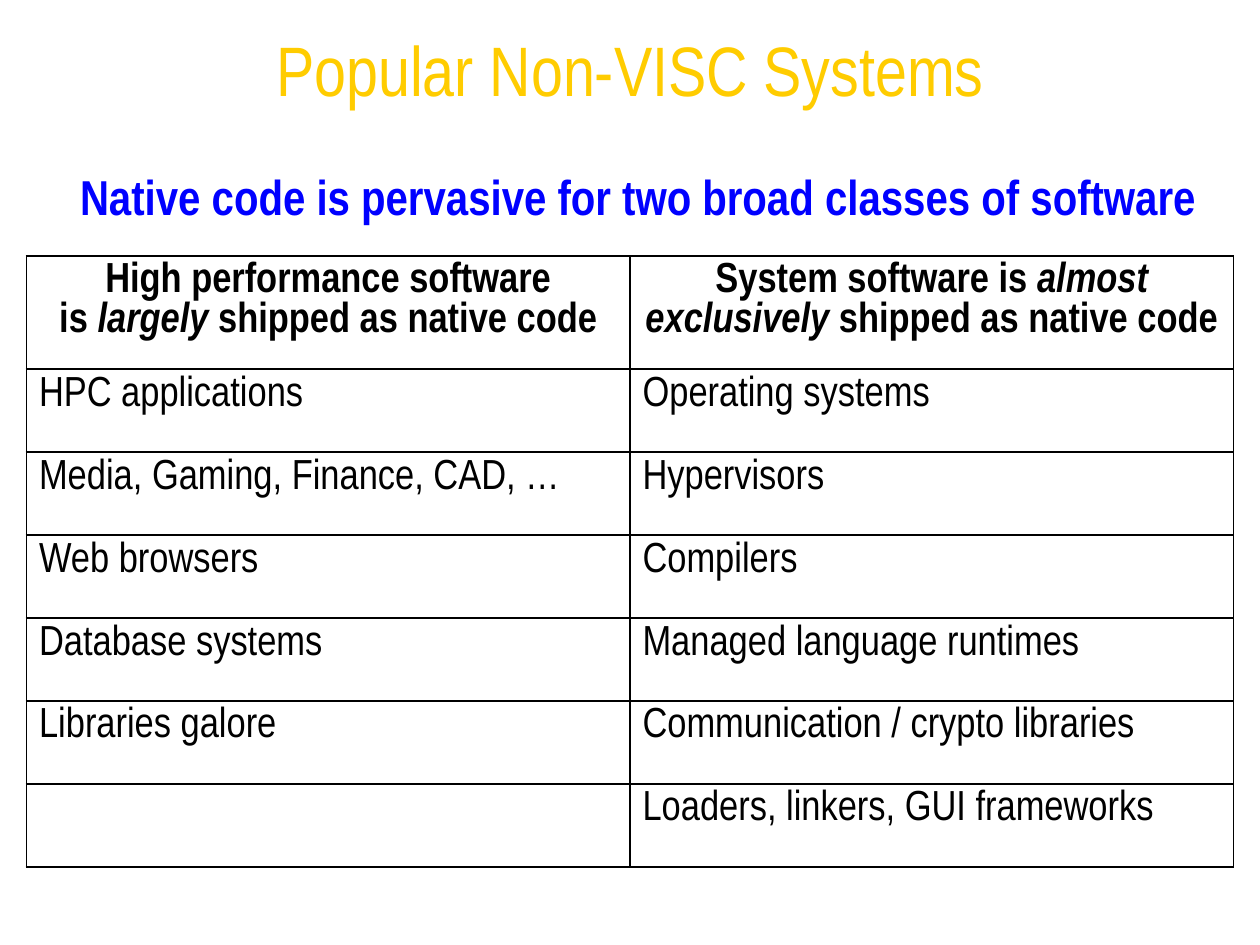
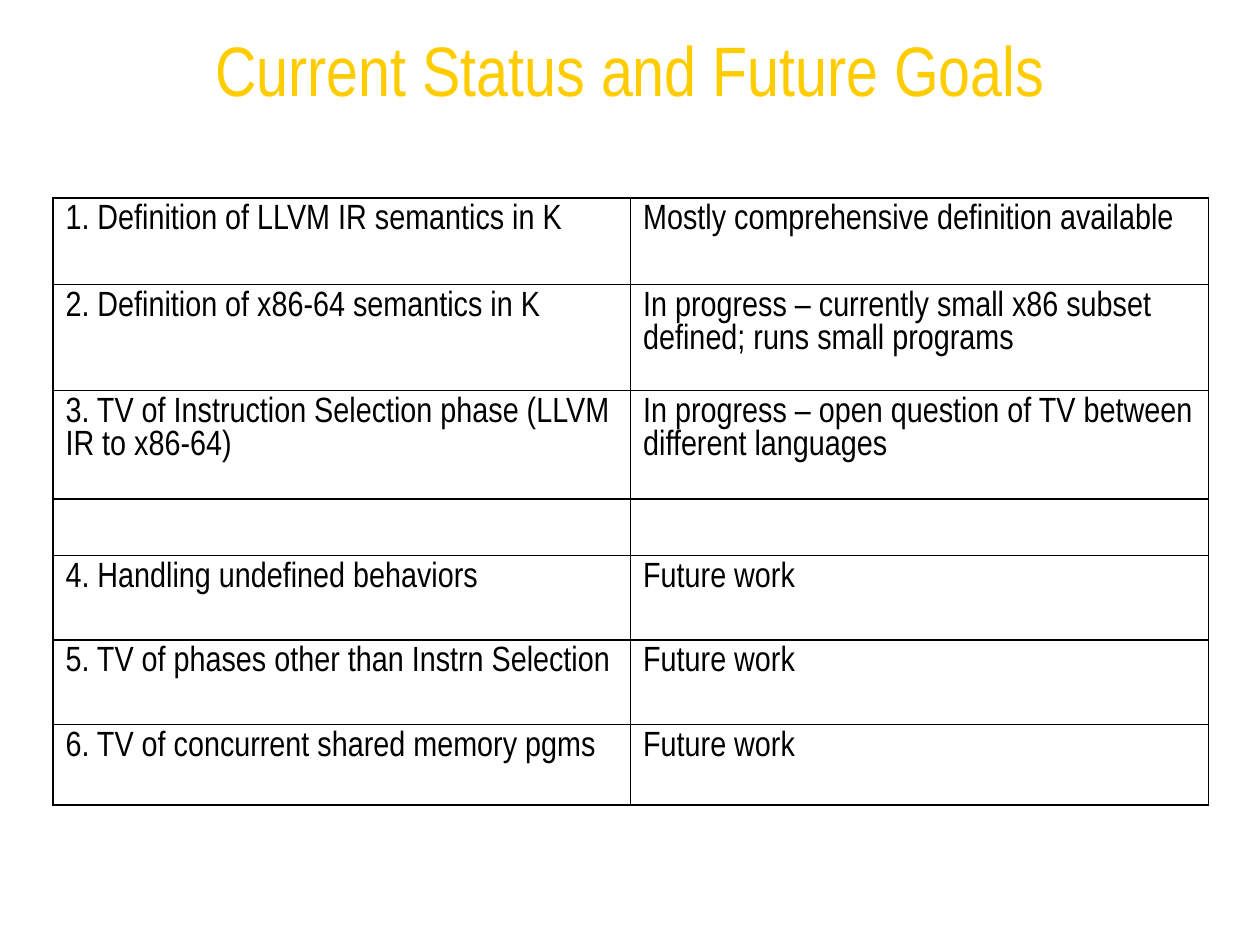
from lxml import etree
from pptx import Presentation
from pptx.dml.color import RGBColor
from pptx.enum.text import MSO_ANCHOR, PP_ALIGN
from pptx.oxml.ns import qn
from pptx.util import Inches, Pt

LEFT, CENTER = PP_ALIGN.LEFT, PP_ALIGN.CENTER
TOP, MIDDLE = MSO_ANCHOR.TOP, MSO_ANCHOR.MIDDLE
COLORS = {"title": "FFCC00", "lead": "0000FF", "text": "000000", "line": "000000"}
FONT = "Arial Narrow"


def put_text(frame, text, size=24, color="text", bold=False, align=LEFT):
    """Write lines into a frame; words between asterisks are italic."""
    for num, line in enumerate(text.split("\n")):
        para = frame.add_paragraph() if num else frame.paragraphs[0]
        para.alignment = align
        para.font.size = Pt(size)
        for idx, part in enumerate(line.split("*")):
            if not part:
                continue
            run = para.add_run()
            run.text = part
            font = run.font
            font.name, font.size, font.bold = FONT, Pt(size), bold
            font.italic = idx % 2 == 1
            font.color.rgb = RGBColor.from_string(COLORS[color])


class Deck:
    def __init__(self):
        self.prs = Presentation()
        self.prs.slide_width, self.prs.slide_height = Inches(10), Inches(7.5)
        self.slide = None

    def new_slide(self, title):
        self.slide = self.prs.slides.add_slide(self.prs.slide_layouts[6])
        self.text(title, 0, 0, 10, 1.08, anchor=MIDDLE, size=40, color="title")

    def text(self, text, x, y, w, h, anchor=TOP, wrap=True, **form):
        box = self.slide.shapes.add_textbox(Inches(x), Inches(y), Inches(w), Inches(h))
        frame = box.text_frame
        frame.word_wrap = wrap
        frame.vertical_anchor = anchor
        frame.margin_left = frame.margin_right = 0
        put_text(frame, text, align=CENTER, **form)

    def table(self, rows, x, y, width, heights, size, head=False):
        cols = len(rows[0])
        shape = self.slide.shapes.add_table(
            len(rows), cols, Inches(x), Inches(y), Inches(width), Inches(sum(heights)))
        grid = shape.table
        grid.first_row = head
        grid.horz_banding = False
        for col in grid.columns:
            col.width = Inches(width / cols)
        for r, (row, height) in enumerate(zip(rows, heights)):
            grid.rows[r].height = Inches(height)
            top = head and r == 0
            for c, text in enumerate(row):
                cell = grid.cell(r, c)
                put_text(cell.text_frame, text, size=size, bold=top,
                         align=CENTER if top else LEFT)
                self.border(cell)
                cell.fill.background()

    def border(self, cell):
        props = cell._tc.get_or_add_tcPr()
        for side in ("lnL", "lnR", "lnT", "lnB"):
            line = etree.SubElement(props, qn(f"a:{side}"), w=str(Pt(1)))
            fill = etree.SubElement(line, qn("a:solidFill"))
            etree.SubElement(fill, qn("a:srgbClr"), val=COLORS["line"])


def main():
    deck = Deck()

    # Classes of native software
    deck.new_slide("Popular Non-VISC Systems")
    systems = [
        ("High performance software\nis *largely *shipped as native code",
         "System software is *almost*\n*exclusively* shipped as native code"),
        ("HPC applications", "Operating systems"),
        ("Media, Gaming, Finance, CAD, …", "Hypervisors"),
        ("Web browsers", "Compilers"),
        ("Database systems", "Managed language runtimes"),
        ("Libraries galore", "Communication / crypto libraries"),
        ("", "Loaders, linkers, GUI frameworks"),
    ]
    first, total = 0.88, 4.83
    rest = len(systems) - 1
    heights = [first] + [(total - first) / rest] * rest
    deck.table(systems, 0.21, 2.03, 9.58, heights, 24, head=True)
    deck.text("Native code is pervasive for two broad classes of software",
              0.54, 1.27, 9.04, 0.57, wrap=False, size=28, color="lead", bold=True)

    # Status of each goal
    deck.new_slide("Current Status and Future Goals")
    later = "Future work"
    goals = [
        ("1. Definition of LLVM IR semantics in K",
         "Mostly comprehensive definition available"),
        ("2. Definition of x86-64 semantics in K",
         "In progress – currently small x86 subset defined; runs small programs"),
        ("3. TV of Instruction Selection phase (LLVM IR to x86-64)",
         "In progress – open question of TV between different languages"),
        ("", ""),
        ("4. Handling undefined behaviors", later),
        ("5. TV of phases other than Instrn Selection", later),
        ("6. TV of concurrent shared memory pgms", later),
    ]
    deck.table(goals, 0.42, 1.57, 9.17, [0.69, 0.84, 0.86, 0.45, 0.67, 0.67, 0.64], 20)

    deck.prs.save("out.pptx")


if __name__ == "__main__":
    main()
